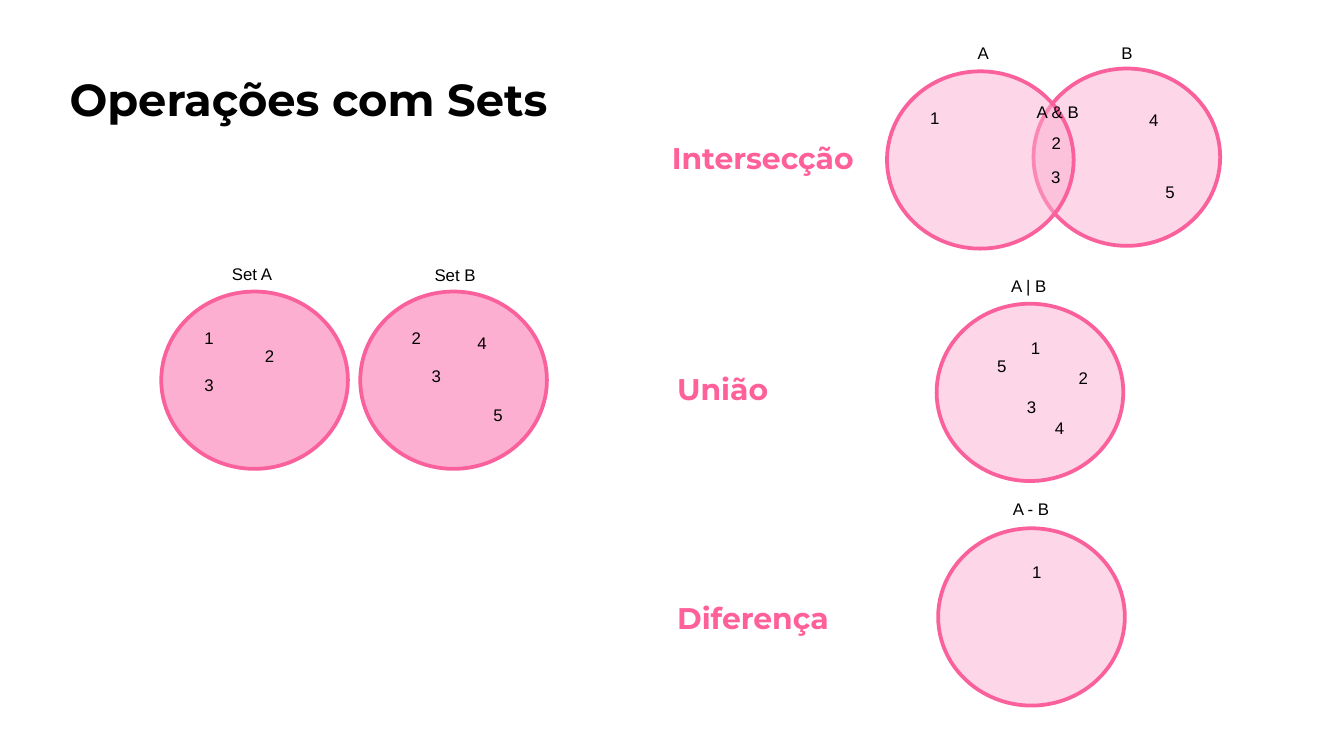
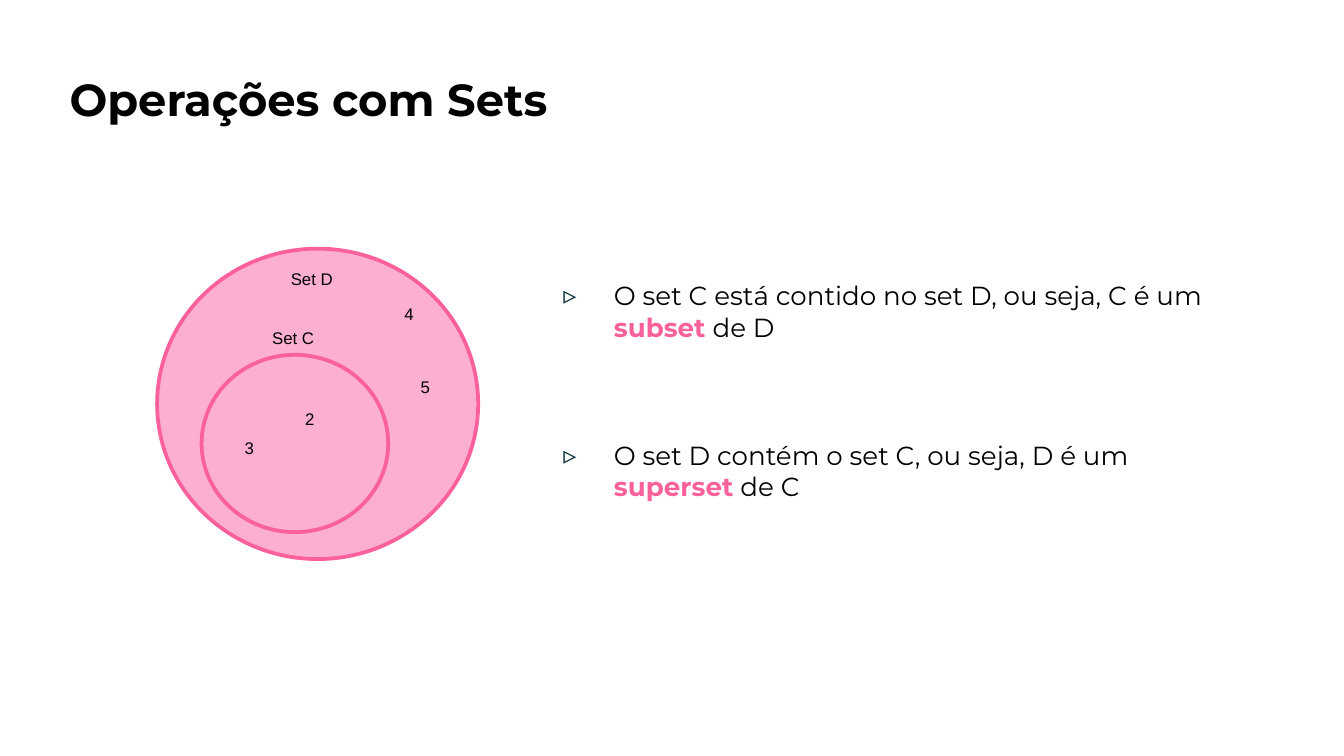
from lxml.etree import SubElement
from pptx import Presentation
from pptx.dml.color import RGBColor
from pptx.enum.shapes import MSO_SHAPE
from pptx.enum.text import MSO_AUTO_SIZE, PP_ALIGN
from pptx.oxml.ns import qn
from pptx.util import Pt

BLACK = "000000"
PINK = "FCAFD0"
OUTLINE = "FA609B"
HEADING = "FF609A"
BULLET = "0C343D"
CIRCLE = (100, 95)


def color(value):
    return RGBColor.from_string(value)


class Deck:
    """Holds the shared style and the slide being built."""

    heading_font = "Montserrat"
    label_font = "Arial"

    def __init__(self):
        self.prs = Presentation()
        self.prs.slide_width, self.prs.slide_height = Pt(720), Pt(405)
        self.slide = None

    def new_slide(self, title):
        self.slide = self.prs.slides.add_slide(self.prs.slide_layouts[6])
        self.heading(title, 30.2, 31, 297.4, 44, 24, BLACK)

    def frame(self, shapes, left, top, width, height, inset=7.2, wrap=True):
        box = shapes.add_textbox(Pt(left), Pt(top), Pt(width), Pt(height))
        frame = box.text_frame
        frame.word_wrap = wrap
        frame.auto_size = MSO_AUTO_SIZE.SHAPE_TO_FIT_TEXT
        frame.margin_left = frame.margin_right = Pt(7.2)
        frame.margin_top = frame.margin_bottom = Pt(inset)
        return frame

    def run(self, paragraph, text, font, size, fill=BLACK, bold=False):
        run = paragraph.add_run()
        run.text = text
        run.font.name, run.font.size, run.font.bold = font, Pt(size), bold
        run.font.color.rgb = color(fill)

    def heading(self, text, left, top, width, height, size, fill):
        frame = self.frame(self.slide.shapes, left, top, width, height)
        self.run(frame.paragraphs[0], text, self.heading_font, size, fill, True)

    def label(self, text, center, top, shapes=None):
        width = 20 if len(text) == 1 else 37
        frame = self.frame(shapes or self.slide.shapes, center - width / 2, top,
                           width, 18, 3.6, False)
        frame.paragraphs[0].alignment = PP_ALIGN.CENTER
        self.run(frame.paragraphs[0], text, self.label_font, 9)

    def set_circle(self, left, top, labels, size=CIRCLE, alpha=None):
        """Group a circle with labels: text, centre x, top, from its corner."""
        shapes = self.slide.shapes.add_group_shape().shapes
        circle = shapes.add_shape(MSO_SHAPE.OVAL, Pt(left), Pt(top),
                                  Pt(size[0]), Pt(size[1]))
        circle.shadow.inherit = False
        circle.fill.solid()
        circle.fill.fore_color.rgb = color(PINK)
        circle.line.color.rgb = color(OUTLINE)
        circle.line.width = Pt(2)
        if alpha:
            fill = circle.fill._xPr.find(qn("a:solidFill"))
            SubElement(fill[0], qn("a:alpha"), val=str(alpha * 1000))
        for text, x, y in labels:
            self.label(text, left + x, top + y, shapes)

    def bullets(self, left, top, width, height, items, gap):
        frame = self.frame(self.slide.shapes, left, top, width, height)
        for index, (before, term, after) in enumerate(items):
            paragraph = frame.add_paragraph() if index else frame.paragraphs[0]
            paragraph.space_before = Pt(gap if index else 6)
            props = paragraph._p.get_or_add_pPr()
            props.set("marL", str(Pt(36)))
            props.set("indent", str(Pt(-27)))
            mark = SubElement(props, qn("a:buClr"))
            SubElement(mark, qn("a:srgbClr"), val=BULLET)
            SubElement(props, qn("a:buFont"), typeface=self.heading_font)
            SubElement(props, qn("a:buChar"), char="▹")
            self.run(paragraph, before, self.heading_font, 14)
            self.run(paragraph, term, self.heading_font, 14, OUTLINE, True)
            self.run(paragraph, after, self.heading_font, 14)


def operations(deck):
    deck.new_slide("Operações com Sets")

    # The two starting sets
    deck.set_circle(193, 156.2, [("2", 30, 15.8), ("3", 40.7, 36), ("4", 65.2, 18.7),
                                 ("5", 73.8, 56.9), ("Set B", 50.8, -18)])
    deck.set_circle(86.4, 156.2, [("1", 25.6, 15.8), ("3", 25.6, 41),
                                  ("2", 58, 25.2), ("Set A", 48.6, -18.7)])

    # Names of the operations
    for name, left, top in [("Intersecção", 352.8, 67.7), ("União", 355.7, 191.5),
                            ("Diferença", 355.7, 314)]:
        deck.heading(name, left, top, 113.8, 33.8, 16, HEADING)

    # Results: intersection, union, difference
    deck.set_circle(553.7, 36.7, [("4", 64.4, 18.7), ("5", 73.1, 56.9),
                                  ("B", 50, -17.3)], alpha=50)
    deck.set_circle(475.2, 38.2, [("1", 25.6, 15.8), ("3", 90.4, 47.5),
                                  ("2", 90.7, 29.5), ("A", 51.5, -18.7)], alpha=50)
    deck.set_circle(501.8, 162.7, [("4", 65.9, 57.6), ("5", 34.9, 24.5),
                                   ("A | B", 49.3, -18.7), ("1", 52.9, 14.4),
                                   ("3", 50.8, 46.1), ("2", 78.5, 31)], alpha=50)
    deck.label("A & B", 566.6, 51.1)
    deck.set_circle(502.6, 283, [("A - B", 49.7, -19.4), ("1", 52.9, 14.4)], alpha=50)


def containment(deck):
    deck.new_slide("Operações com Sets")

    # Set C inside set D
    deck.set_circle(84.2, 133.2, [("4", 135, 25.9), ("5", 143.6, 64.8),
                                  ("Set D", 82.8, 7.2)], size=(172, 166.3))
    deck.set_circle(108, 190.1, [("3", 25.6, 41), ("2", 58, 25.2), ("Set C", 49, -18)])

    # Definitions
    deck.bullets(285.8, 142.6, 386, 163.4, [
        ("O set C está contido no set D, ou seja, C é um ", "subset", " de D"),
        ("O set D contém o set C, ou seja, D é um ", "superset", " de C"),
    ], gap=52)


def main():
    deck = Deck()
    operations(deck)
    containment(deck)
    deck.prs.save("out.pptx")


if __name__ == "__main__":
    main()
